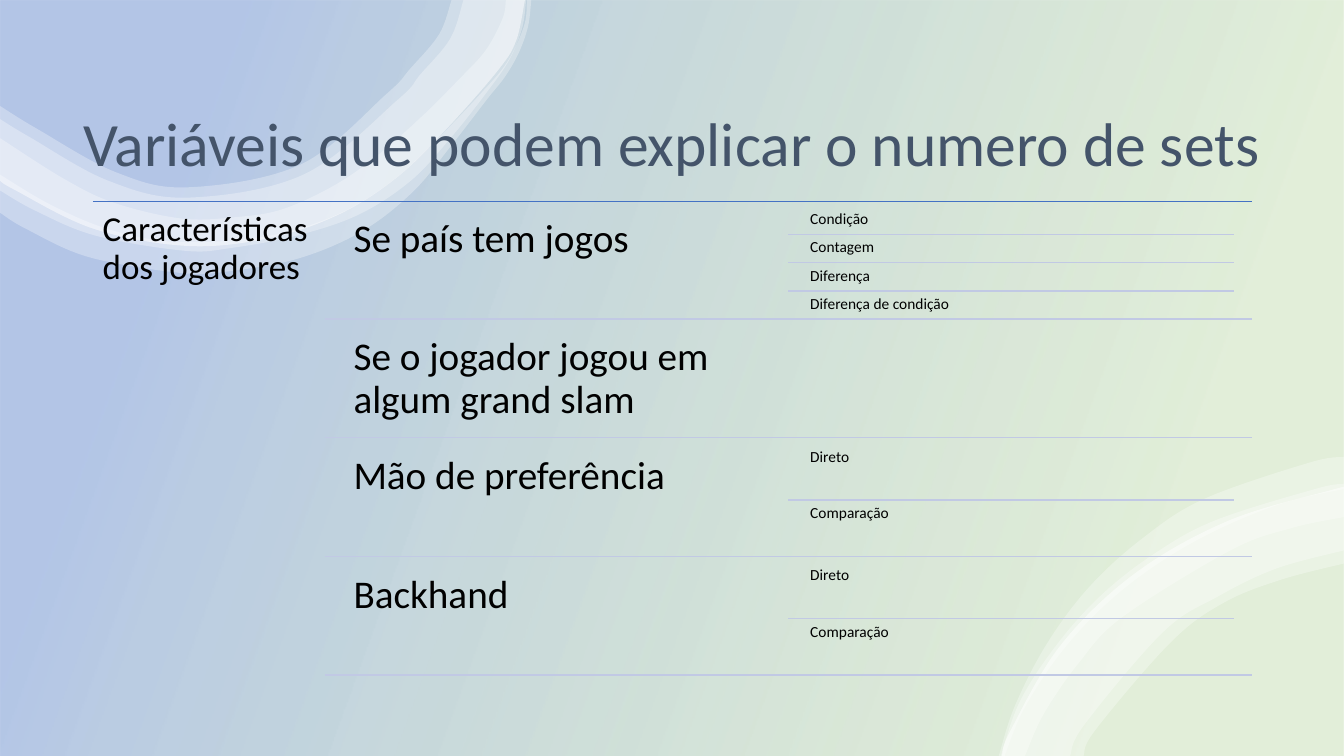
from lxml.etree import SubElement
from pptx import Presentation
from pptx.dml.color import RGBColor
from pptx.enum.shapes import MSO_CONNECTOR as Connector, MSO_SHAPE as Shape
from pptx.enum.text import MSO_ANCHOR as Anchor, PP_ALIGN as Align
from pptx.oxml.ns import qn
from pptx.util import Cm, Pt

WIDTH, HEIGHT = 33.87, 19.05
TABLE_LEFT, TABLE_RIGHT, TABLE_TOP = 2.34, 31.55, 5.07
ROW_TOP, ROW_HEIGHT, ROW_PITCH = 5.2, 2.84, 2.99
TOPIC_LEFT, DETAIL_LEFT, COLUMN_WIDTH = 8.61, 20.29, 11.25
TOPIC_RULE, DETAIL_RULE, DETAIL_RULE_END = 8.18, 19.86, 31.09
RULE_COLOUR = "C1C9E4"

TOPICS = [
    ("Se país tem jogos", ["Condição", "Contagem", "Diferença", "Diferença de condição"]),
    ("Se o jogador jogou em algum grand slam", []),
    ("Mão de preferência", ["Direto", "Comparação"]),
    ("Backhand", ["Direto", "Comparação"]),
]

UPPER_CORE = [(13.23, 0), (13.01, 1.02), (12.56, 1.76), (11.3, 3.2), (10.03, 4.45), (8.57, 5.39),
              (6.83, 5.99), (4.75, 6.2), (2.37, 5.77), (0.36, 4.78), (0, 4.55)]
LOWER_CORE = [(25.25, 19.05), (25.45, 18.44), (26.72, 16.27), (28.6, 14.45), (30.96, 13.12),
              (33.58, 12.34), (33.87, 12.29)]
UPPER_RIBBONS = [
    ([(13.39, 0), (13.31, 0.66), (13.08, 1.32), (12.73, 1.93), (12.27, 2.51), (11.38, 3.66),
      (10.41, 4.83), (9.14, 5.82), (7.57, 6.5), (5.82, 6.83), (4.57, 6.88), (2.24, 6.48),
      (0.66, 5.77), (0, 5.36)],
     [(0, 4.4), (1.22, 5.13), (2.62, 5.74), (4.11, 6.07), (5.72, 6.07), (7.26, 5.84),
      (8.71, 5.31), (9.96, 4.5), (11.05, 3.48), (12.07, 2.41), (12.78, 1.57), (13.21, 0.64),
      (13.28, 0)]),
    ([(13.26, 0), (13.16, 0.71), (12.83, 1.52), (12.22, 2.39), (11.38, 3.45), (10.36, 4.55),
      (9.04, 5.41), (7.47, 5.94), (5.82, 6.25), (4.65, 6.32), (2.41, 5.94), (0.89, 5.31),
      (0, 4.8)],
     [(0, 3.48), (1.6, 4.5), (2.87, 5.11), (4.6, 5.51), (6.07, 5.46), (7.16, 5.26),
      (8.43, 4.67), (9.55, 3.89), (10.67, 2.9), (11.56, 2.01), (12.24, 1.27), (12.67, 0.46),
      (12.75, 0)]),
    (UPPER_CORE,
     [(0, 3), (0.74, 3.45), (2.74, 4.56), (4.75, 4.98), (7.67, 4.39), (10.03, 2.51),
      (10.59, 1.88), (11.35, 0.97), (11.68, 0)]),
    (UPPER_CORE,
     [(0, 2.67), (0.94, 3.25), (2.92, 4.34), (4.75, 4.72), (7.59, 4.14), (9.75, 2.36),
      (10.34, 1.73), (11.07, 0.86), (11.38, 0)]),
]
LOWER_RIBBONS = [
    ([(25.17, 19.05), (25.58, 17.78), (26.39, 16.21), (27.46, 14.78), (28.8, 13.56),
      (30.35, 12.57), (32.99, 11.66), (33.87, 11.51)],
     [(33.87, 12.32), (32.36, 12.67), (30.76, 13.31), (29.26, 14.15), (27.91, 15.19),
      (26.75, 16.43), (25.81, 17.86), (25.32, 19.05)]),
    (LOWER_CORE,
     [(33.87, 14.2), (32.28, 14.61), (30.84, 15.19), (29.51, 16.18), (27.61, 18.39),
      (27.31, 19.05)]),
    ([(25.22, 19.05), (25.7, 17.68), (26.62, 16.26), (27.76, 14.99), (29.11, 13.94),
      (30.63, 13.11), (33.15, 12.32), (33.87, 12.19)],
     [(33.87, 13.03), (32.54, 13.31), (31.01, 13.87), (28.3, 15.54), (27.2, 16.69),
      (26.31, 17.98), (25.83, 19.05)]),
    (LOWER_CORE,
     [(33.87, 13.87), (32.16, 14.33), (30.68, 15.04), (29.31, 15.93), (27.33, 18.26),
      (26.97, 19.05)]),
]


def paint(colour, value):
    """Set a colour from a hex string."""
    colour.rgb = RGBColor.from_string(value)


def set_opacity(fill_element, percent):
    """Give the first RGB colour below an element an opacity."""
    rgb = next(fill_element.iter(qn("a:srgbClr")))
    SubElement(rgb, qn("a:alpha")).set("val", str(percent * 1000))


def add_backdrop(slide):
    """Cover the slide with the translucent green-to-blue gradient."""
    backdrop = slide.shapes.add_shape(Shape.RECTANGLE, 0, 0, Cm(WIDTH), Cm(HEIGHT))
    backdrop.shadow.inherit = False
    backdrop.line.fill.background()
    backdrop.fill.gradient()
    backdrop.fill.gradient_angle = 160
    tints = [(0.16, "70AD47", 20), (0.85, "4472C4", 40)]
    elements = backdrop._element.spPr.iter(qn("a:gs"))
    for stop, element, (position, value, opacity) in zip(
            backdrop.fill.gradient_stops, elements, tints):
        stop.position = position
        paint(stop.color, value)
        set_opacity(element, opacity)


def curve_edge(vertices):
    """Turn the straight segments of one edge into smooth cubic curves."""
    knots = [(int(v[0].get("x")), int(v[0].get("y"))) for v in vertices]
    padded = [knots[0], *knots, knots[-1]]
    for vertex, a, b, c, d in zip(vertices[1:], padded, padded[1:], padded[2:], padded[3:]):
        vertex.tag = qn("a:cubicBezTo")
        leaving = [q + (r - p) / 6 for p, q, r in zip(a, b, c)]
        arriving = [r - (s - q) / 6 for q, r, s in zip(b, c, d)]
        for place, (x, y) in enumerate((leaving, arriving)):
            handle = SubElement(vertex, qn("a:pt"))
            handle.set("x", str(round(x)))
            handle.set("y", str(round(y)))
            vertex.insert(place, handle)


def add_ribbon(slide, outer, inner):
    """Draw a translucent white band between two smooth edges."""
    outline = [(Cm(x), Cm(y)) for x, y in outer + inner]
    builder = slide.shapes.build_freeform(*outline[0])
    builder.add_line_segments(outline[1:], close=True)
    ribbon = builder.convert_to_shape()
    ribbon.shadow.inherit = False
    ribbon.line.fill.background()
    ribbon.fill.solid()
    paint(ribbon.fill.fore_color, "FFFFFF")
    set_opacity(ribbon._element.spPr, 30)
    vertices = list(ribbon._element.spPr.iter(qn("a:moveTo"), qn("a:lnTo")))
    curve_edge(vertices[:len(outer)])
    curve_edge(vertices[len(outer):len(outline)])


def add_text(slide, text, left, top, width, height, size, inset,
             colour="000000", align=Align.LEFT, anchor=Anchor.TOP):
    """Add a wrapped Calibri text with equal insets."""
    frame = slide.shapes.add_textbox(Cm(left), Cm(top), Cm(width), Cm(height)).text_frame
    frame.word_wrap = True
    frame.vertical_anchor = anchor
    frame.margin_left = frame.margin_right = Cm(inset)
    frame.margin_top = frame.margin_bottom = Cm(inset)
    paragraph = frame.paragraphs[0]
    paragraph.text = text
    paragraph.alignment = align
    paragraph.line_spacing = 0.9
    paragraph.font.name = "Calibri"
    paragraph.font.size = Pt(size)
    paint(paragraph.font.color, colour)


def add_rule(slide, left, right, y, colour=RULE_COLOUR):
    """Draw a thin horizontal line."""
    rule = slide.shapes.add_connector(Connector.STRAIGHT, Cm(left), Cm(y), Cm(right), Cm(y))
    rule.line.width = Pt(1)
    paint(rule.line.color, colour)
    SubElement(rule._element.spPr, qn("a:effectLst"))


def add_topic(slide, topic, details, top):
    """Add one topic with its ruled list of details."""
    add_text(slide, topic, TOPIC_LEFT, top, COLUMN_WIDTH, ROW_HEIGHT, 28, 0.3)
    for index, detail in enumerate(details):
        height = ROW_HEIGHT / len(details)
        y = top + index * height
        if index:
            add_rule(slide, DETAIL_RULE, DETAIL_RULE_END, y)
        add_text(slide, detail, DETAIL_LEFT, y, COLUMN_WIDTH, height, 11, 0.13)
    add_rule(slide, TOPIC_RULE, TABLE_RIGHT, top + ROW_HEIGHT)


def main():
    """Build and save the slide."""
    deck = Presentation()
    deck.slide_width, deck.slide_height = Cm(WIDTH), Cm(HEIGHT)
    slide = deck.slides.add_slide(deck.slide_layouts[6])
    add_backdrop(slide)
    for outer, inner in UPPER_RIBBONS + LOWER_RIBBONS:
        add_ribbon(slide, outer, inner)
    add_text(slide, "Variáveis que podem explicar o numero de sets", 0, 0.12, WIDTH, 7.16,
             44, 0.13, "44546A", Align.CENTER, Anchor.MIDDLE)
    add_rule(slide, TABLE_LEFT, TABLE_RIGHT, TABLE_TOP, "4472C4")
    add_text(slide, "Características dos jogadores", TABLE_LEFT, TABLE_TOP, 5.84, 12.09, 25, 0.25)
    for row, (topic, details) in enumerate(TOPICS):
        add_topic(slide, topic, details, ROW_TOP + row * ROW_PITCH)
    deck.save("out.pptx")


if __name__ == "__main__":
    main()
